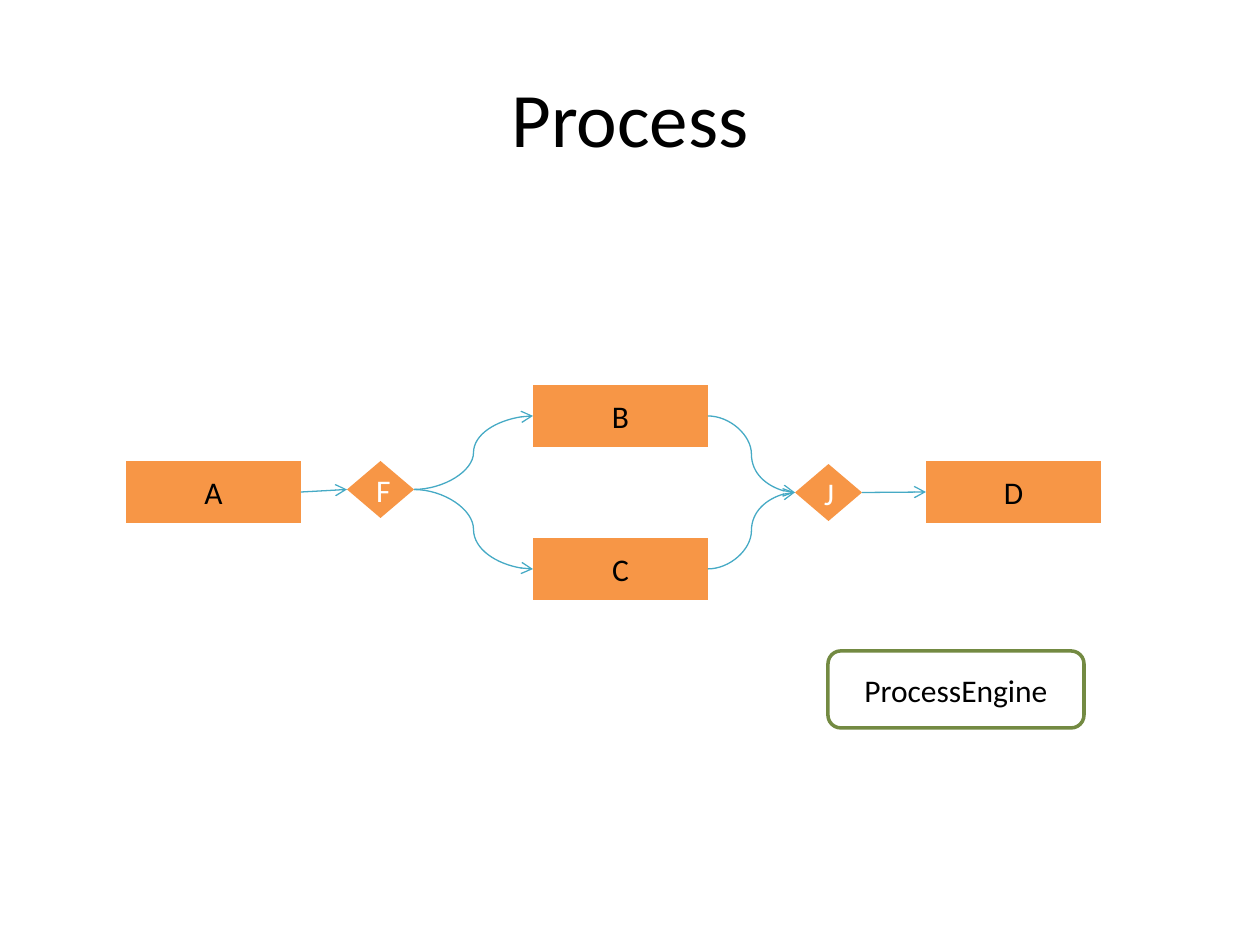
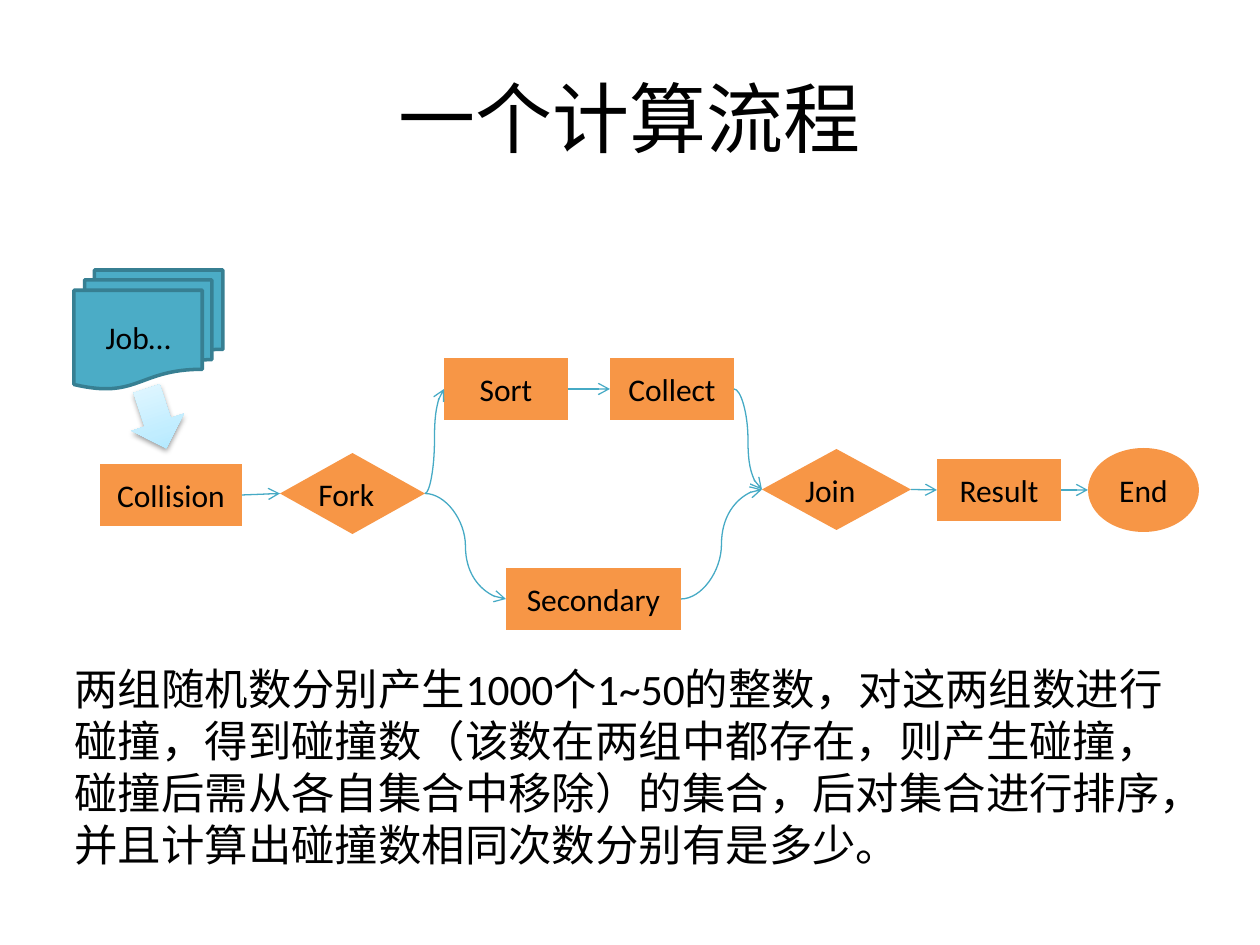
from lxml import etree
from pptx import Presentation
from pptx import util as u
from pptx.dml.color import RGBColor
from pptx.enum import shapes, text
from pptx.oxml.ns import qn

# Shared style
SCALE = 914400 / 126  # EMU in one px
FONT = "Calibri"
BLACK = RGBColor(0x00, 0x00, 0x00)
WHITE = RGBColor(0xFF, 0xFF, 0xFF)
ORANGE = RGBColor(0xF7, 0x96, 0x46)
CONNECTOR_BLUE = RGBColor(0x46, 0xAA, 0xC5)
ENGINE_GREEN = RGBColor(0x73, 0x8A, 0x42)
JOB_TEAL = RGBColor(0x4B, 0xAC, 0xC6)
JOB_EDGE = RGBColor(0x37, 0x7F, 0x92)
ARROW_STOPS = [
    (0, RGBColor(0xA7, 0xE6, 0xFF)),
    (35, RGBColor(0xC1, 0xED, 0xFF)),
    (100, RGBColor(0xE7, 0xF8, 0xFF)),
]

Preset = shapes.MSO_SHAPE
Align = text.PP_ALIGN
Anchor = text.MSO_ANCHOR
STRAIGHT = shapes.MSO_CONNECTOR.STRAIGHT
CURVED = shapes.MSO_CONNECTOR.CURVE
LEFT_SITE, RIGHT_SITE, OVAL_LEFT_SITE = 1, 3, 2

DESCRIPTION = (
    "两组随机数分别产生1000个1~50的整数，对这两组数进行碰撞，"
    "得到碰撞数（该数在两组中都存在，则产生碰撞，碰撞后需从各自集合中移除）的集合，"
    "后对集合进行排序，并且计算出碰撞数相同次数分别有是多少。"
)


def px(length):
    return u.Emu(round(length * SCALE))


def write(shape, words, size=18, color=BLACK, align=Align.CENTER,
          anchor=Anchor.MIDDLE, left=None, right=None):
    """Put one formatted paragraph into a shape."""
    frame = shape.text_frame
    frame.word_wrap = True
    frame.vertical_anchor = anchor
    if left is not None:
        frame.margin_left = px(left)
    if right is not None:
        frame.margin_right = px(right)
    paragraph = frame.paragraphs[0]
    paragraph.alignment = align
    run = paragraph.add_run()
    run.text = words
    run.font.name = FONT
    run.font.size = u.Pt(size)
    run.font.color.rgb = color


def add_titled_slide(presentation, title):
    slide = presentation.slides.add_slide(presentation.slide_layouts.get_by_name("Title Only"))
    placeholder = slide.shapes.title
    placeholder.left, placeholder.top = px(63), px(38)
    placeholder.width, placeholder.height = px(1134), px(157)
    write(placeholder, title, size=44)
    return slide


def add_node(slide, preset, box, words=None, fill=ORANGE, line=None, **text_format):
    shape = slide.shapes.add_shape(preset, *map(px, box))
    shape.shadow.inherit = False
    shape.fill.solid()
    shape.fill.fore_color.rgb = fill
    if line is None:
        shape.line.fill.background()
    else:
        shape.line.color.rgb = line
        shape.line.width = u.Pt(2)
    if words:
        write(shape, words, **text_format)
    return shape


def add_process(slide, words, left, top, width):
    return add_node(slide, Preset.FLOWCHART_PROCESS, (left, top, width, 62), words)


def add_link(slide, source, target, kind=STRAIGHT, target_site=LEFT_SITE):
    """Join the right side of source to the left side of target."""
    connector = slide.shapes.add_connector(kind, 0, 0, 0, 0)
    connector.begin_connect(source, RIGHT_SITE)
    connector.end_connect(target, target_site)
    connector.end_x = target.left
    connector.end_y = target.top + target.height // 2
    connector.line.color.rgb = CONNECTOR_BLUE
    connector.line.width = u.Pt(0.75)
    properties = connector.element.spPr
    etree.SubElement(properties.find(qn("a:ln")), qn("a:tailEnd"), type="arrow")
    etree.SubElement(properties, qn("a:effectLst"))


def add_job_arrow(slide):
    arrow = add_node(slide, Preset.DOWN_ARROW, (129, 387, 55, 63))
    arrow.rotation = 341.8
    properties = arrow.element.spPr

    # Three-stop gradient, running upwards
    gradient = etree.Element(qn("a:gradFill"), rotWithShape="1")
    stops = etree.SubElement(gradient, qn("a:gsLst"))
    for position, color in ARROW_STOPS:
        stop = etree.SubElement(stops, qn("a:gs"), pos=str(position * 1000))
        etree.SubElement(stop, qn("a:srgbClr"), val=str(color))
    etree.SubElement(gradient, qn("a:lin"), ang="16200000", scaled="0")
    properties.replace(properties.find(qn("a:solidFill")), gradient)

    # Soft shadow below
    shadow = etree.SubElement(properties.find(qn("a:effectLst")), qn("a:outerShdw"),
                              blurRad="40000", dist="20000", dir="5400000", rotWithShape="0")
    shade = etree.SubElement(shadow, qn("a:srgbClr"), val=str(BLACK))
    etree.SubElement(shade, qn("a:alpha"), val="38000")


def build_process_slide(presentation):
    slide = add_titled_slide(presentation, "Process")

    # Steps
    step_a = add_process(slide, "A", 126, 461, 175)
    step_d = add_process(slide, "D", 926, 461, 175)
    step_c = add_process(slide, "C", 533, 538, 175)
    step_b = add_process(slide, "B", 533, 385, 175)
    add_node(slide, Preset.FLOWCHART_ALTERNATE_PROCESS, (828, 651, 256, 77),
             "ProcessEngine", fill=WHITE, line=ENGINE_GREEN)
    fork = add_node(slide, Preset.DIAMOND, (347, 461, 67, 57), "F", color=WHITE)
    join = add_node(slide, Preset.DIAMOND, (795, 464, 67, 57), "J", color=WHITE)

    # Flow
    for branch in (step_b, step_c):
        add_link(slide, fork, branch, CURVED)
        add_link(slide, branch, join, CURVED)
    add_link(slide, step_a, fork)
    add_link(slide, join, step_d)


def build_calculation_slide(presentation):
    slide = add_titled_slide(presentation, "一个计算流程")

    # Description
    description = slide.shapes.add_textbox(px(62), px(656), px(1134), px(200))
    write(description, DESCRIPTION, size=24.8, align=Align.LEFT, anchor=Anchor.TOP)

    # Steps
    collision = add_process(slide, "Collision", 100, 464, 142)
    secondary = add_process(slide, "Secondary", 506, 568, 175)
    sort = add_process(slide, "Sort", 444, 358, 124)
    collect = add_process(slide, "Collect", 610, 358, 124)
    result = add_process(slide, "Result", 937, 459, 124)
    fork = add_node(slide, Preset.FLOWCHART_DECISION, (280, 453, 145, 81), "Fork", left=0)
    join = add_node(slide, Preset.FLOWCHART_DECISION, (762, 449, 149, 81), "Join", left=0)
    end = add_node(slide, Preset.OVAL, (1088, 448, 111, 84), "End", left=5, right=5)

    # Flow
    for source, target in ((collision, fork), (sort, collect), (join, result)):
        add_link(slide, source, target)
    add_link(slide, result, end, target_site=OVAL_LEFT_SITE)
    for source, target in ((fork, secondary), (fork, sort), (secondary, join), (collect, join)):
        add_link(slide, source, target, CURVED)

    # Incoming jobs
    add_node(slide, Preset.FLOWCHART_MULTIDOCUMENT, (74, 270, 149, 119), "Job…",
             fill=JOB_TEAL, line=JOB_EDGE)
    add_job_arrow(slide)


def main():
    presentation = Presentation()
    presentation.slide_width, presentation.slide_height = px(1260), px(945)
    build_process_slide(presentation)
    build_calculation_slide(presentation)
    presentation.save("out.pptx")


if __name__ == "__main__":
    main()
